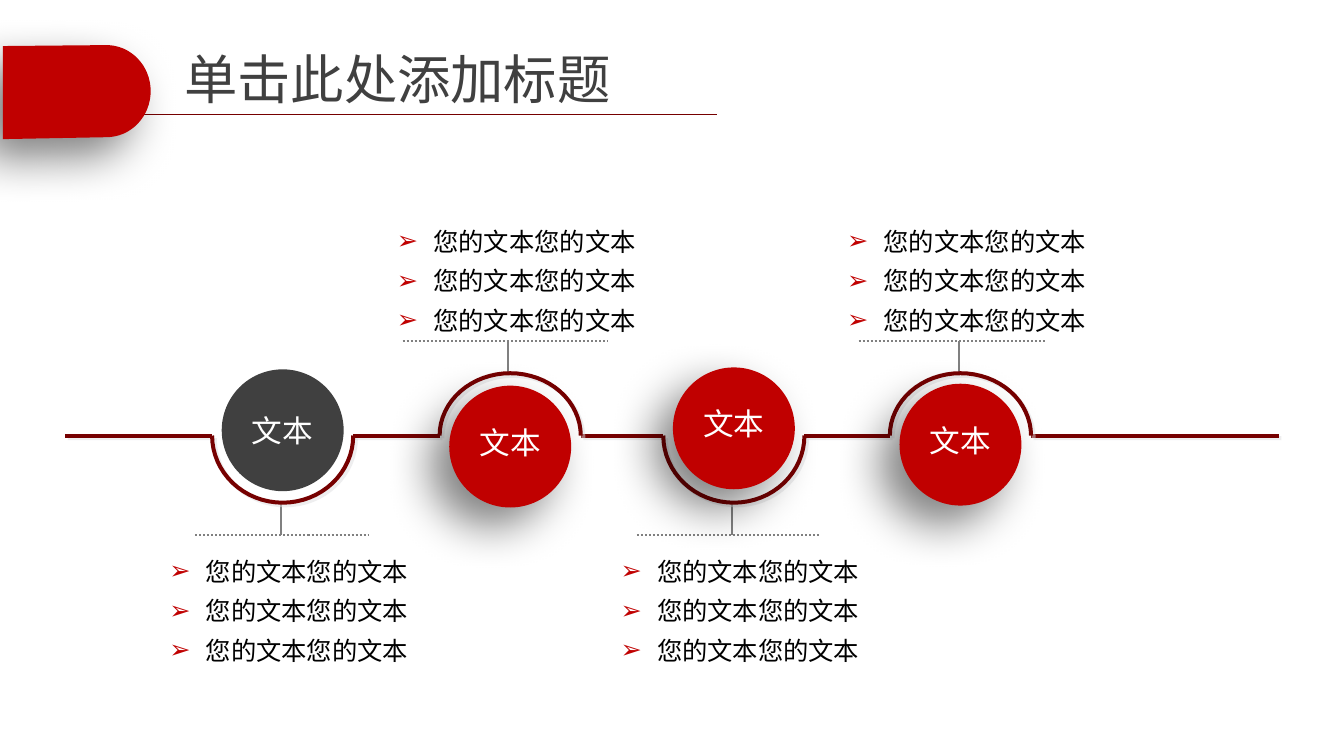
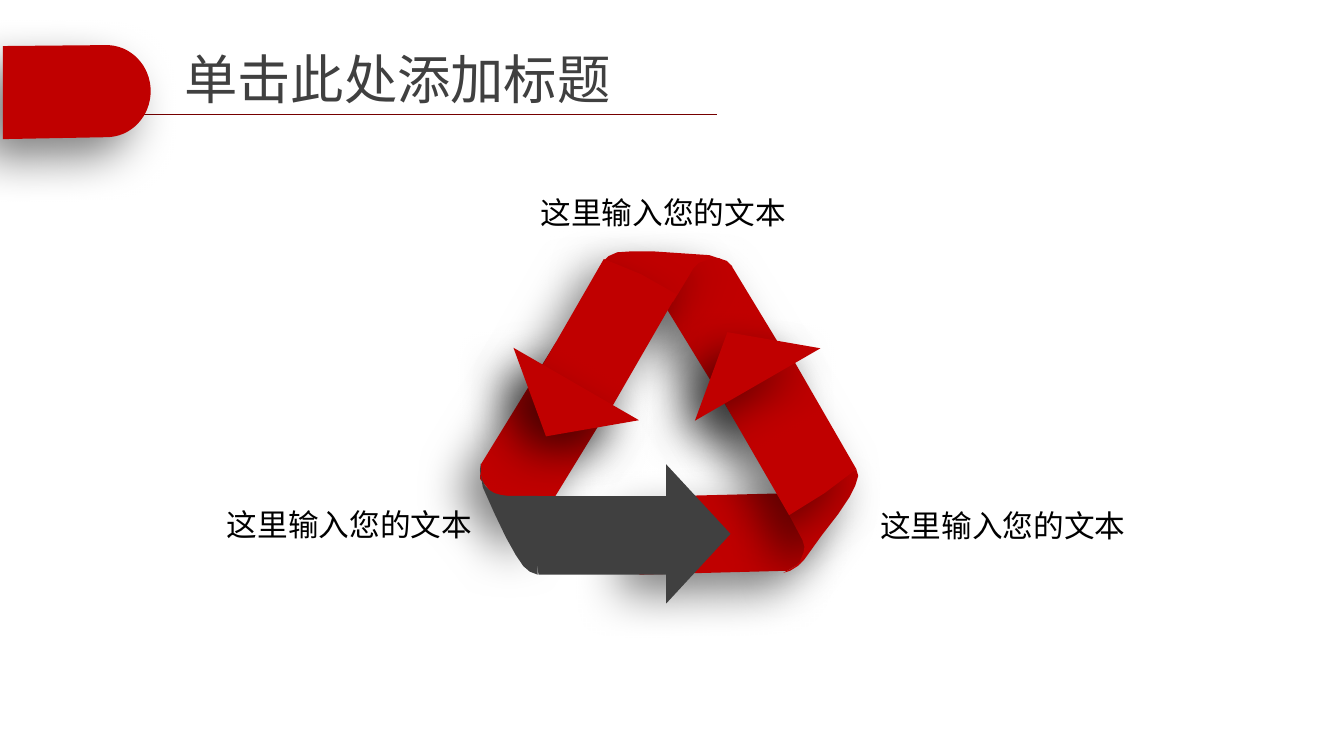
from math import cos, pi, sin
from lxml import etree
from pptx import Presentation
from pptx.dml.color import RGBColor
from pptx.enum.dml import MSO_LINE
from pptx.enum.shapes import MSO_CONNECTOR, MSO_SHAPE
from pptx.enum.text import MSO_ANCHOR, MSO_AUTO_SIZE, PP_ALIGN
from pptx.oxml.ns import qn
from pptx.util import Inches, Pt

CELL = Inches(0.1)
COLS, ROWS = 140, 78.8
HUES = {"red": "C00000", "wine": "760000", "dark": "404040", "gray": "808080",
        "mist": "DEDEE0", "black": "000000", "white": "FFFFFF"}
CJK = "Noto Sans CJK SC"
DEEP = ("black", 35, 20, 135)
EDGE = ("mist", 0, 2.8, 45)
LEFT, MID, RIGHT = PP_ALIGN.LEFT, PP_ALIGN.CENTER, PP_ALIGN.RIGHT
TOP, CENTER = MSO_ANCHOR.TOP, MSO_ANCHOR.MIDDLE
DOTS = MSO_LINE.ROUND_DOT
STRAIGHT = MSO_CONNECTOR.STRAIGHT
OVAL, HEAD = MSO_SHAPE.OVAL, MSO_SHAPE.ISOSCELES_TRIANGLE


def emu(*cells):
    """Turn grid cells into lengths."""
    return [int(round(cell * CELL)) for cell in cells]


def rgb(hue):
    """Look up a colour by name."""
    return RGBColor.from_string(HUES[hue])


def cast(shape, shade=None):
    """Give a finished shape its own shadow, or none."""
    effects = etree.SubElement(shape.element.spPr, qn("a:effectLst"))
    if shade:
        hue, blur, dist, angle = shade
        outer = etree.SubElement(effects, qn("a:outerShdw"), blurRad=str(Pt(blur)),
                                 dist=str(Pt(dist)), dir=str(angle * 60000),
                                 algn="ctr", rotWithShape="0")
        color = etree.SubElement(outer, qn("a:srgbClr"), val=HUES[hue])
        etree.SubElement(color, qn("a:alpha"), val="50000")


def paint(shape, hue, shade=None):
    """Fill a shape without an outline."""
    shape.fill.solid()
    shape.fill.fore_color.rgb = rgb(hue)
    shape.line.fill.background()
    cast(shape, shade)


def rule(shapes, start, end, hue, width, shade=None, dash=None):
    """Draw a straight line between two grid points."""
    line = shapes.add_connector(STRAIGHT, *emu(*start, *end))
    line.line.color.rgb = rgb(hue)
    line.line.width = Pt(width)
    if dash:
        line.line.dash_style = dash
    cast(line, shade)
    return line


def trace(shapes, points, close=True):
    """Build an outline through grid points."""
    first, *rest = [emu(*point) for point in points]
    pen = shapes.build_freeform(*first)
    pen.add_line_segments(rest, close=close)
    return pen.convert_to_shape()


def arc(x, y, wide, high, start, steps=32):
    """List the points of half an ellipse from a start angle."""
    turns = [start + pi * step / steps for step in range(steps + 1)]
    return [(x + wide * cos(turn), y + high * sin(turn)) for turn in turns]


def write(frame, text, size, hue, align, anchor=TOP, face=CJK):
    """Set text and format every run."""
    frame.text = text
    frame.word_wrap = True
    frame.auto_size = MSO_AUTO_SIZE.NONE
    frame.vertical_anchor = anchor
    for line in frame.paragraphs:
        line.alignment = align
        for run in line.runs:
            run.font.size = Pt(size)
            run.font.name = face
            run.font.bold = False
            run.font.color.rgb = rgb(hue)
            etree.SubElement(run.font._element, qn("a:ea"), typeface=CJK)


def place(shape, x, y, wide, high):
    """Move a shape to a grid box."""
    shape.left, shape.top, shape.width, shape.height = emu(x, y, wide, high)


def band(slide, master, box):
    """Draw the title band and hand it to the master."""
    x, y, wide, high = box
    line = rule(slide.shapes, (x + 8.9, y + 7.2), (x + 74.4, y + 7.2), "wine", 0.75)
    bend = arc(x + 10.8, y + high / 2, wide - 10.8, high / 2, -pi / 2)
    tab = trace(slide.shapes, [(x, y + 0.1), *bend, (x, y + high + 0.2)])
    paint(tab, "red", DEEP)
    for depth, part in enumerate((line, tab), 2):
        master.shapes.element.insert(depth, part.element)


def head(slide, box):
    """Place and fill the title."""
    title = slide.shapes.title
    place(title, *box)
    frame = title.text_frame
    frame.margin_left = frame.margin_right = Inches(0.12)
    frame.margin_top = frame.margin_bottom = Inches(0.06)
    write(frame, "单击此处添加标题", 40, "dark", LEFT, CENTER, "Arial")


def bullets(holder, box):
    """Fill a placeholder with a list of arrow points."""
    place(holder, *box)
    frame = holder.text_frame
    write(frame, "\n".join(["您的文本您的文本"] * 3), 19, "black", LEFT)
    for line in frame.paragraphs:
        line.line_spacing = 1.3
        line.space_before = line.space_after = Pt(0)
        props = line._p.get_or_add_pPr()
        props.set("marL", str(Inches(0.38)))
        props.set("indent", str(-Inches(0.38)))
        color = etree.SubElement(props, qn("a:buClr"))
        etree.SubElement(color, qn("a:srgbClr"), val=HUES["red"])
        etree.SubElement(props, qn("a:buFont"), typeface="Arial")
        etree.SubElement(props, qn("a:buChar"), char="➢")


def stop(slide, holder, box, above, span, lift, hue):
    """Draw one stop: list, stem, half ring and disc."""
    x, y, wide, high = box
    mid, axis, size = x + wide / 2, y + high / 2, 12.7
    stem = (axis - 9.9, axis - 6.4) if above else (axis + 10.4, axis + 6.9)
    rule(slide.shapes, (mid - 0.2, stem[1]), (mid - 0.2, stem[0]), "gray", 1.5)
    rule(slide.shapes, (mid - span[0], stem[0]), (mid + span[1], stem[0]),
         "gray", 1.5, dash=DOTS)
    bullets(holder, (mid - 12.8, y if above else axis + 11.1, 27.3, 13.4))
    bend = arc(mid, axis, wide / 2, 6.5 if above else 7, pi if above else 0)
    ring = trace(slide.shapes, bend, close=False)
    ring.fill.background()
    ring.line.color.rgb = rgb("wine")
    ring.line.width = Pt(3)
    cast(ring, EDGE)
    disc = slide.shapes.add_shape(OVAL, *emu(mid - size / 2, axis - lift, size, size))
    paint(disc, hue, None if hue == "dark" else DEEP)
    frame = disc.text_frame
    frame.margin_left = frame.margin_right = frame.margin_top = 0
    frame.margin_bottom = Inches(0 if hue == "dark" else 0.1)
    write(frame, "文本", 23, "white", MID, CENTER)


def road(slide, box):
    """Draw the timeline with its four stops."""
    x, y, wide, high = box
    axis, ring = y + high / 2, 14.7
    stops = [(22.65, (9.1, 8.9), 6.9, "dark"), (46.35, (11.2, 10.1), 5.2, "red"),
             (69.65, (10.1, 8.9), 7.1, "red"), (93.25, (10.6, 9), 5.4, "red")]
    edges = [x]
    for mid, *_ in stops:
        edges += [x + mid - ring / 2, x + mid + ring / 2]
    edges.append(x + wide)
    for start, end in zip(edges[::2], edges[1::2]):
        rule(slide.shapes, (start, axis), (end, axis), "wine", 3, EDGE)
    holders = list(slide.placeholders)[1:]
    for order, (holder, (mid, *rest)) in enumerate(zip(holders, stops)):
        stop(slide, holder, (x + mid - ring / 2, y, ring, high), order % 2, *rest)


def cycle(slide, box):
    """Draw the folded triangle of three arrows."""
    x, y, _, _ = box
    shapes = slide.shapes.add_group_shape().shapes
    strips = [
        [(15.2, 13.7), (5.1, 30.2), (0, 23.9), (0.1, 22.4), (7.9, 9.7)],
        [(27.1, 18.7), (16.7, 1.7), (24.9, 0.9), (26.2, 1.7), (34.2, 14.9)],
        [(16.8, 25.8), (36.7, 25.3), (33.4, 32.7), (32, 33.5), (16.6, 33.9)]]
    folds = [
        [(20.1, 5.5), (12.8, 1.3), (13.4, 0.7), (14.3, 0.3), (15.8, 0.2), (18, 0.2),
         (20.9, 0.4), (23.9, 0.6), (25.7, 1.2), (26.3, 1.8), (25.2, 1.2), (24.5, 1),
         (23.9, 1), (22.8, 1.4), (22.2, 2), (21.8, 2.7)],
        [(31.9, 27.1), (39.2, 22.9), (39.4, 23.6), (39.1, 24.6), (38.5, 25.8),
         (37.3, 27.6), (35.6, 29.8), (33.8, 32.3), (33.1, 33), (32.3, 33.5),
         (31.6, 33.7), (32.7, 33.1), (33.3, 32.6), (33.7, 31.6), (33.8, 31),
         (33.6, 30.3)],
        [(6, 25.7), (6, 33.9), (5.2, 33.6), (4.5, 33), (3.7, 31.8), (2.7, 30),
         (1.5, 27.5), (0.3, 24.8), (0, 23), (0.1, 22.3), (0.1, 23.5), (0.3, 24.2),
         (0.6, 24.7), (1, 25.1), (1.5, 25.4), (2.2, 25.6), (3, 25.7)]]
    shafts = [
        [(12.6, 18.4), (20.5, 4.7), (16.8, 2.6), (12.9, 1), (5.3, 14.2)],
        [(24.3, 14), (32.2, 27.7), (35.9, 25.4), (39.2, 22.9), (31.6, 9.7)],
        [(22.2, 25.7), (5.4, 25.7), (5.5, 29.9), (6.1, 33.9), (22.2, 33.9)]]
    tips = [(0.9, 13.6, 15.1, 6.3, 210), (19.8, 8.2, 15.1, 6.3, 330),
            (15.5, 26.3, 14.5, 6.7, 90)]

    def sheet(points, hue, shade):
        """Paint one piece of the ribbon."""
        paint(trace(shapes, [(x + a, y + b) for a, b in points]), hue, shade)

    for strip in strips:
        sheet(strip, "red", DEEP)
    looks = [("red", DEEP), ("red", DEEP), ("dark", None)]
    for fold, shaft, tip, look in zip(folds, shafts, tips, looks):
        sheet(fold, *look)
        sheet(shaft, *look)
        a, b, wide, high, turn = tip
        point = shapes.add_shape(HEAD, *emu(x + a, y + b, wide, high))
        point.rotation = turn
        paint(point, *look)


def label(slide, box, align):
    """Write one caption beside the triangle."""
    note = slide.shapes.add_textbox(*emu(*box))
    write(note.text_frame, "这里输入您的文本", 23, "black", align)


def main():
    """Build both slides and save them."""
    deck = Presentation()
    deck.slide_width, deck.slide_height = emu(COLS, ROWS)
    first = deck.slides.add_slide(deck.slide_layouts[4])
    second = deck.slides.add_slide(deck.slide_layouts[5])
    band(first, deck.slide_master, (0.3, 4.7, 15.4, 9.6))
    for slide in (first, second):
        head(slide, (18, 3.2, 94.7, 9.9))
    road(first, (6.8, 22.1, 126.4, 46.6))
    cycle(second, (50, 26, 39.4, 34))
    label(second, (20.4, 52.2, 29.8, 4.8), RIGHT)
    label(second, (90.7, 52.3, 29.8, 4.8), LEFT)
    label(second, (47.3, 19.7, 43.6, 4.8), MID)
    deck.save("out.pptx")


main()
